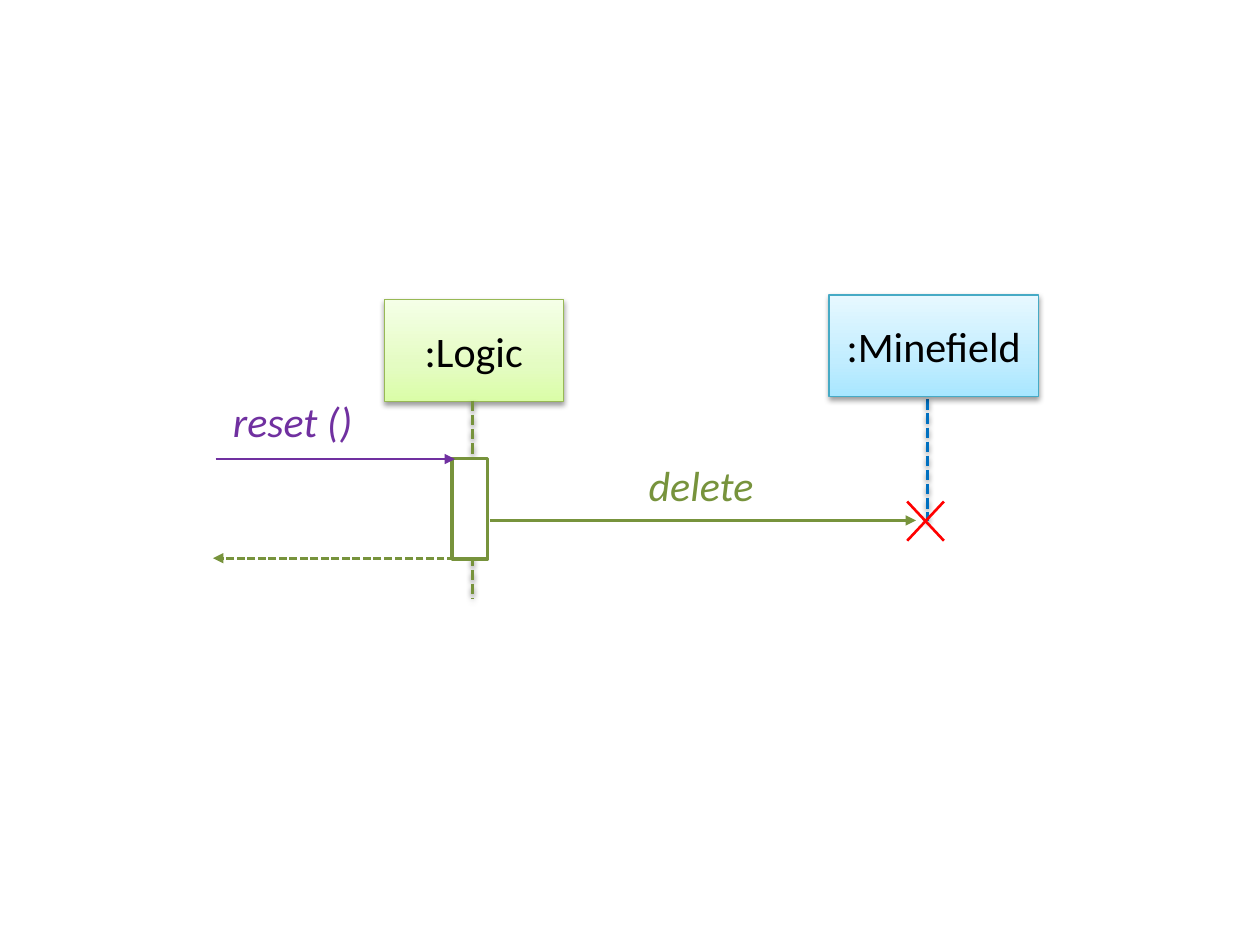
from lxml import etree
from pptx import Presentation
from pptx.dml.color import RGBColor
from pptx.enum.dml import MSO_LINE
from pptx.enum.shapes import MSO_CONNECTOR, MSO_SHAPE
from pptx.enum.text import MSO_ANCHOR, MSO_AUTO_SIZE, PP_ALIGN
from pptx.oxml.ns import qn
from pptx.util import Pt

RECT = MSO_SHAPE.RECTANGLE
STRAIGHT = MSO_CONNECTOR.STRAIGHT
DASH = MSO_LINE.SQUARE_DOT
MIDDLE = MSO_ANCHOR.MIDDLE
GROW = MSO_AUTO_SIZE.SHAPE_TO_FIT_TEXT
LEFT, CENTER = PP_ALIGN.LEFT, PP_ALIGN.CENTER

COLORS = {
    "black": "000000", "white": "FFFFFF", "red": "FF0000",
    "purple": "7030A0", "green": "77933C", "blue": "0070C0",
    "green_edge": "98B955", "blue_edge": "46AAC5",
}
# Gradient colours from bottom to top
GRADIENTS = {
    "green": ("DAFDA7", "E4FCC2", "F5FFE7"),
    "blue": ("A7E6FF", "C1EDFF", "E7F8FF"),
}
STOPS = (0, 35, 100)


def rgb(name):
    return RGBColor.from_string(COLORS[name])


def set_effects(sp, shadow):
    """Give the shape a soft shadow below it, or none at all."""
    effects = etree.SubElement(sp._element.spPr, qn("a:effectLst"))
    if shadow:
        outer = etree.SubElement(effects, qn("a:outerShdw"), blurRad=str(Pt(3.1)),
                                 dist=str(Pt(1.6)), dir="5400000", rotWithShape="0")
        color = etree.SubElement(outer, qn("a:srgbClr"), val=COLORS["black"])
        etree.SubElement(color, qn("a:alpha"), val="38000")


def set_gradient(sp, colors):
    sp.fill.gradient()
    sp.fill.gradient_angle = 90
    stops = sp._element.spPr.find(qn("a:gradFill")).find(qn("a:gsLst"))
    for stop in list(stops):
        stops.remove(stop)
    for pos, color in zip(STOPS, colors):
        stop = etree.SubElement(stops, qn("a:gs"), pos=str(pos * 1000))
        etree.SubElement(stop, qn("a:srgbClr"), val=color)


def set_text(sp, text, color="black", align=LEFT, italic=False):
    tf = sp.text_frame
    tf.auto_size = GROW
    p = tf.paragraphs[0]
    p.alignment = align
    r = p.add_run()
    r.text = text
    r.font.name = "Calibri"
    r.font.size = Pt(24)
    r.font.italic = italic
    r.font.color.rgb = rgb(color)


def add_rect(s, x, y, w, h, edge, weight):
    sp = s.shapes.add_shape(RECT, Pt(x), Pt(y), Pt(w), Pt(h))
    sp.line.color.rgb = rgb(edge)
    sp.line.width = Pt(weight)
    return sp


def add_participant(s, text, x, y, w, tint):
    sp = add_rect(s, x, y, w, 58.3, tint + "_edge", 0.75)
    set_gradient(sp, GRADIENTS[tint])
    set_effects(sp, shadow=True)
    set_text(sp, text, align=CENTER)
    tf = sp.text_frame
    tf.word_wrap = True
    tf.vertical_anchor = MIDDLE
    tf.margin_top = tf.margin_bottom = Pt(14.4)


def add_activation(s, x, y, w, h):
    sp = add_rect(s, x, y, w, h, "green", 2)
    sp.fill.solid()
    sp.fill.fore_color.rgb = rgb("white")
    sp.shadow.inherit = False


def add_label(s, text, x, y, w, color):
    sp = s.shapes.add_textbox(Pt(x), Pt(y), Pt(w), Pt(36))
    sp.text_frame.word_wrap = True
    set_text(sp, text, color=color, italic=True)


def add_line(s, x1, y1, x2, y2, color, weight=1.5, dashed=False, arrow=False, shadow=False):
    line = s.shapes.add_connector(STRAIGHT, Pt(x1), Pt(y1), Pt(x2), Pt(y2))
    line.line.color.rgb = rgb(color)
    line.line.width = Pt(weight)
    if dashed:
        line.line.dash_style = DASH
    if arrow:
        etree.SubElement(line.line._get_or_add_ln(), qn("a:tailEnd"), type="triangle")
    set_effects(line, shadow)


def add_lifeline(s, x, top, bottom, color):
    add_line(s, x, top, x, bottom, color, weight=2, dashed=True, shadow=True)


def add_cross(s, x, y, w, h):
    for top, bottom in ((y, y + h), (y + h, y)):
        add_line(s, x, top, x + w, bottom, "red")


def main():
    prs = Presentation()
    prs.slide_width, prs.slide_height = Pt(720), Pt(540)
    s = prs.slides.add_slide(prs.slide_layouts[6])

    # Participants and lifelines
    add_lifeline(s, 530, 228.2, 298, "blue")
    add_participant(s, ":Minefield", 473.8, 168.5, 119.5, "blue")
    add_participant(s, ":Logic", 219.6, 171.1, 102.4, "green")
    add_lifeline(s, 270, 229, 342, "green")
    add_activation(s, 258.3, 262, 20.4, 57.5)

    # Messages
    add_label(s, "delete", 363.6, 259.2, 77, "green")
    add_label(s, "reset ()", 126, 222.5, 87, "purple")
    add_line(s, 123.2, 262.3, 260, 262.3, "purple", arrow=True)
    add_line(s, 280, 297.4, 523.5, 297.4, "green", arrow=True)
    add_line(s, 260, 319, 121.7, 319, "green", dashed=True, arrow=True)

    # Destruction mark
    add_cross(s, 518.4, 286.6, 21, 22.4)

    prs.save("out.pptx")


if __name__ == "__main__":
    main()
